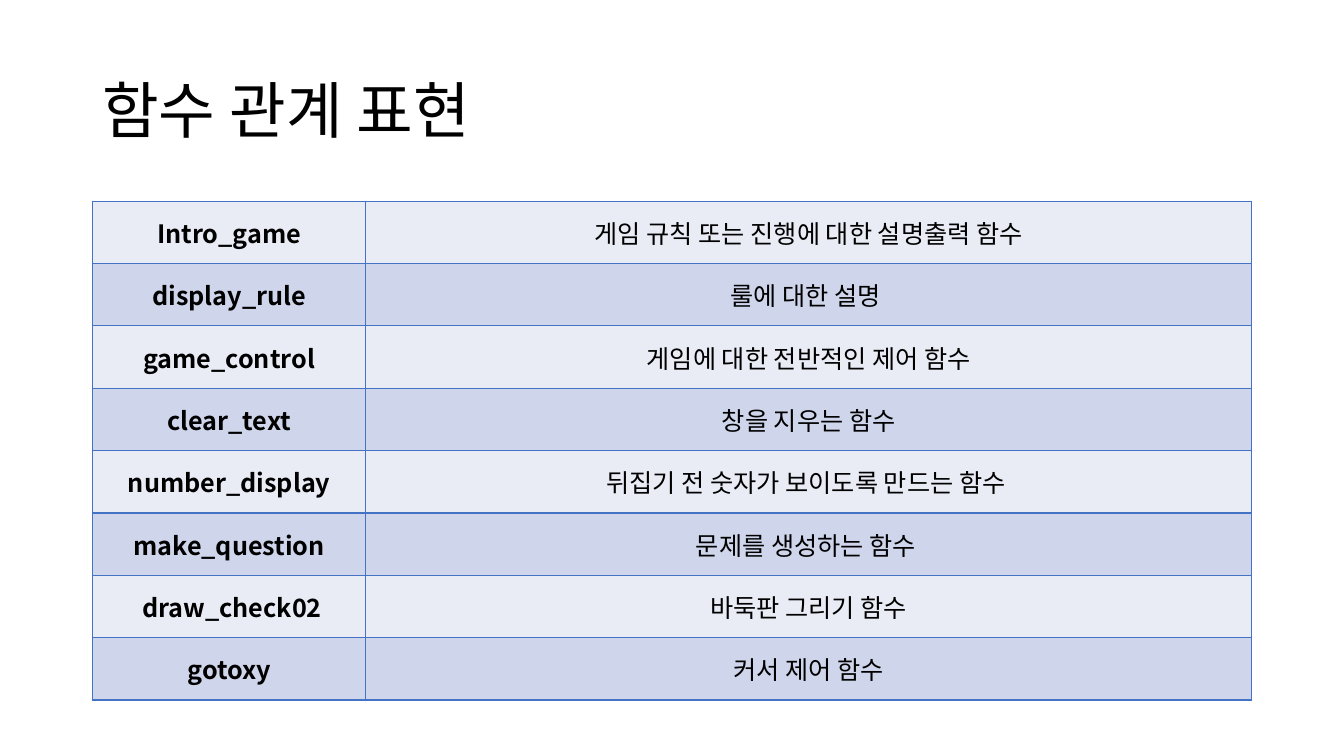
from lxml.etree import SubElement
from pptx import Presentation
from pptx.dml.color import RGBColor
from pptx.enum.text import MSO_ANCHOR, PP_ALIGN
from pptx.oxml.ns import qn
from pptx.util import Cm, Pt

FONT = "Noto Sans CJK KR"
BLACK = RGBColor(0x00, 0x00, 0x00)
BORDER_BLUE = RGBColor(0x44, 0x72, 0xC4)
ROW_FILLS = (RGBColor(0xE9, 0xEB, 0xF5), RGBColor(0xCF, 0xD5, 0xEA))

TITLE_FORMAT = {"name": FONT, "size": Pt(44)}
NAME_FORMAT = {"name": FONT, "size": Pt(18), "bold": True}
PURPOSE_FORMAT = {"name": FONT, "size": Pt(18), "bold": False}

FUNCTIONS = (
    ("Intro_game", "게임 규칙 또는 진행에 대한 설명출력 함수"),
    ("display_rule", "룰에 대한 설명 "),
    ("game_control", "게임에 대한 전반적인 제어 함수"),
    ("clear_text", "창을 지우는 함수"),
    ("number_display", "뒤집기 전 숫자가 보이도록 만드는 함수 "),
    ("make_question", "문제를 생성하는 함수 "),
    (" draw_check02", "바둑판 그리기 함수"),
    ("gotoxy", "커서 제어 함수"),
)


def write_text(para, text, font_format):
    span = para.add_run()
    span.text = text
    for name, value in font_format.items():
        setattr(span.font, name, value)
    span.font.color.rgb = BLACK
    # Hangul takes the East Asian typeface
    SubElement(span.font._element, qn("a:ea"), typeface=FONT)


def draw_borders(cell):
    properties = cell._tc.get_or_add_tcPr()
    for index, side in enumerate(("lnL", "lnR", "lnT", "lnB")):
        line = SubElement(properties, qn(f"a:{side}"), w=str(Pt(1)))
        fill = SubElement(line, qn("a:solidFill"))
        SubElement(fill, qn("a:srgbClr"), val=str(BORDER_BLUE))
        # Borders come before the cell fill
        properties.insert(index, line)


def add_title(page, text, left, top, width, height):
    box = page.shapes.add_textbox(left, top, width, height)
    frame = box.text_frame
    frame.word_wrap = True
    frame.vertical_anchor = MSO_ANCHOR.MIDDLE
    para = frame.paragraphs[0]
    para.line_spacing = 0.9
    write_text(para, text, TITLE_FORMAT)


def add_function_table(page, left, top, width, height):
    table = page.shapes.add_table(
        len(FUNCTIONS), 2, left, top, width, height).table
    table.first_row = False
    table.horz_banding = False

    # Column widths
    name_width = Cm(6.89)
    table.columns[0].width = name_width
    table.columns[1].width = width - name_width

    # Rows with alternating fills
    for row, texts in enumerate(FUNCTIONS):
        for column, font_format in enumerate((NAME_FORMAT, PURPOSE_FORMAT)):
            cell = table.cell(row, column)
            cell.fill.solid()
            cell.fill.fore_color.rgb = ROW_FILLS[row % 2]
            cell.vertical_anchor = MSO_ANCHOR.MIDDLE
            draw_borders(cell)
            para = cell.text_frame.paragraphs[0]
            para.alignment = PP_ALIGN.CENTER
            write_text(para, texts[column], font_format)


def main():
    deck = Presentation()
    deck.slide_width, deck.slide_height = Cm(33.87), Cm(19.05)
    page = deck.slides.add_slide(deck.slide_layouts[6])

    margin = Cm(2.33)
    content_width = deck.slide_width - 2 * margin
    add_title(page, "함수 관계 표현", margin, Cm(1.01), content_width, Cm(3.68))
    add_function_table(page, margin, Cm(5.07), content_width, Cm(12.57))
    deck.save("out.pptx")


if __name__ == "__main__":
    main()
